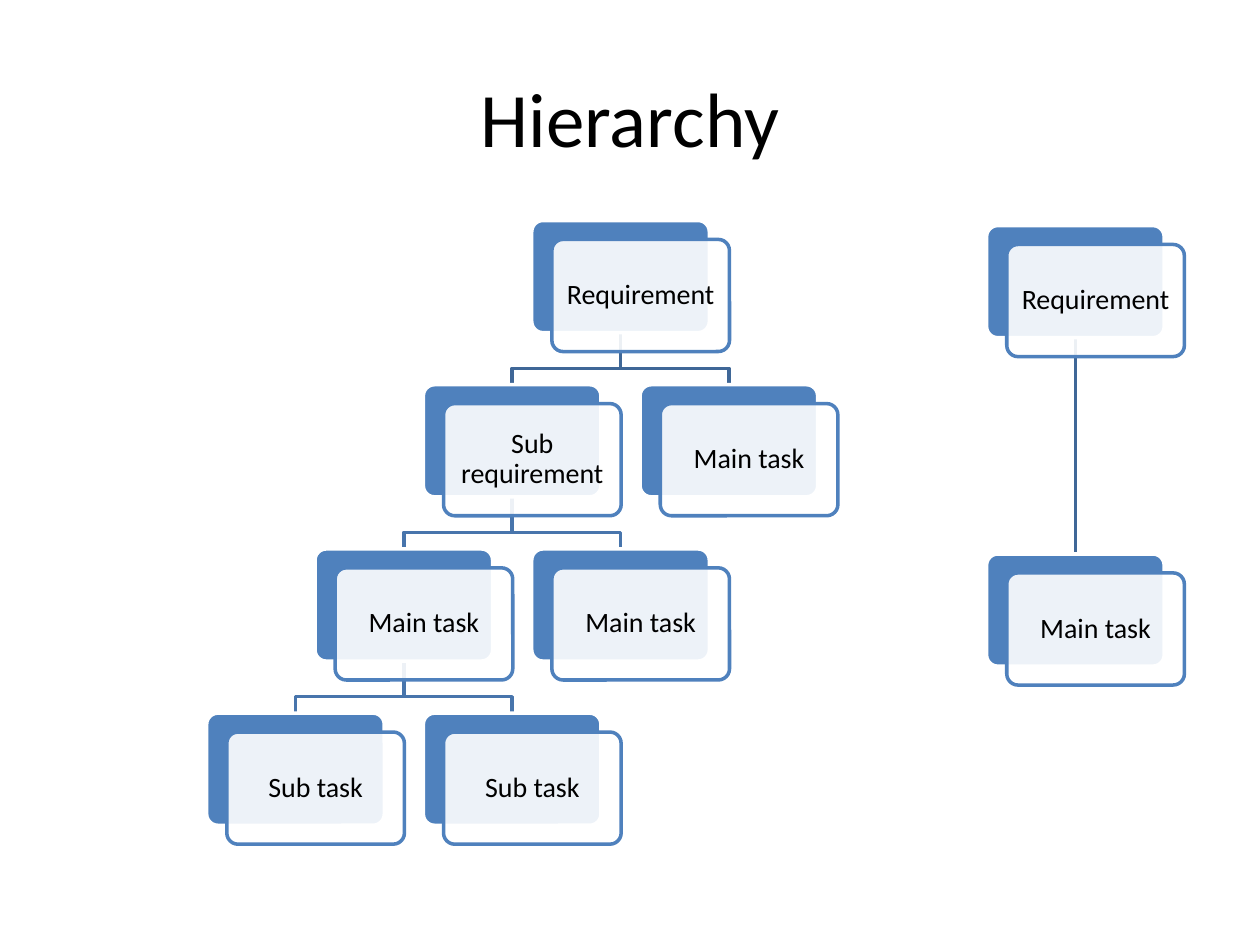
from dataclasses import dataclass

from lxml.etree import SubElement
from pptx import Presentation
from pptx.dml.color import RGBColor
from pptx.enum.shapes import MSO_CONNECTOR as Connector, MSO_SHAPE as Shape
from pptx.enum.text import MSO_ANCHOR as Anchor, PP_ALIGN as Align
from pptx.oxml.ns import qn
from pptx.util import Inches, Pt


@dataclass(frozen=True)
class Theme:
    font: str = "Calibri"
    ink: str = "000000"
    white: str = "FFFFFF"
    accent: str = "4F81BD"
    root_link: str = "3F6797"
    branch_link: str = "4875AC"
    title_size: int = 44
    card_size: int = 16
    stroke: int = 2


@dataclass(frozen=True)
class Node:
    label: str
    column: int
    row: int
    children: tuple = ()


THEME = Theme()
CARD_WIDTH, CARD_HEIGHT = Inches(1.41), Inches(0.89)
COLUMN_STEP = Inches(0.86)
ROW_STEP = Inches(3.91) // 3
PANEL_SHIFT_X, PANEL_SHIFT_Y = Inches(0.16), Inches(0.15)
BEND_RISE = Inches(0.13)
CARD_INSET = Inches(0.07)

TASK_TREE = Node("Requirement", 3, 0, (
    Node("Sub requirement", 2, 1, (
        Node("Main task", 1, 2, (
            Node("Sub task", 0, 3),
            Node("Sub task", 2, 3))),
        Node("Main task", 3, 2))),
    Node("Main task", 4, 1)))
SHORT_TREE = Node("Requirement", 0, 0, (Node("Main task", 0, 2),))


def write_text(frame, text, size, align=Align.CENTER, spacing=None):
    frame.word_wrap = True
    frame.vertical_anchor = Anchor.MIDDLE
    paragraph = frame.paragraphs[0]
    paragraph.alignment = align
    paragraph.line_spacing = spacing
    run = paragraph.add_run()
    run.text = text
    run.font.name = THEME.font
    run.font.size = Pt(size)
    run.font.color.rgb = RGBColor.from_string(THEME.ink)


def set_stroke(line, color):
    line.color.rgb = RGBColor.from_string(color)
    line.width = Pt(THEME.stroke)


def add_plate(slide, left, top, fill, stroke, opacity=100):
    plate = slide.shapes.add_shape(
        Shape.ROUNDED_RECTANGLE, left, top, CARD_WIDTH, CARD_HEIGHT)
    plate.adjustments[0] = 0.1
    plate.shadow.inherit = False
    plate.fill.solid()
    plate.fill.fore_color.rgb = RGBColor.from_string(fill)
    if opacity < 100:
        color = plate.element.spPr.find(".//" + qn("a:srgbClr"))
        SubElement(color, qn("a:alpha"), val=str(opacity * 1000))
    set_stroke(plate.line, stroke)
    return plate


def add_card(slide, left, top, label):
    add_plate(slide, left, top, THEME.accent, THEME.white)
    panel = add_plate(slide, left + PANEL_SHIFT_X, top + PANEL_SHIFT_Y,
                      THEME.white, THEME.accent, opacity=90)
    frame = panel.text_frame
    frame.margin_left = frame.margin_right = CARD_INSET
    frame.margin_top = frame.margin_bottom = CARD_INSET
    write_text(frame, label, THEME.card_size, spacing=0.9)


def add_link(slide, start, end, color):
    (start_x, start_y), (end_x, end_y) = start, end
    if start_x == end_x:
        link = slide.shapes.add_connector(
            Connector.STRAIGHT, start_x, start_y, end_x, end_y)
        SubElement(link.element.spPr, qn("a:effectLst"))
    else:
        bend_y = end_y - BEND_RISE
        builder = slide.shapes.build_freeform(start_x, start_y)
        builder.add_line_segments(
            [(start_x, bend_y), (end_x, bend_y), end], close=False)
        link = builder.convert_to_shape()
        link.fill.background()
        link.shadow.inherit = False
    set_stroke(link.line, color)


def walk(node):
    yield node
    for child in node.children:
        yield from walk(child)


def add_tree(slide, left, top, root):
    def corner(node):
        return left + node.column * COLUMN_STEP, top + node.row * ROW_STEP

    for parent in walk(root):
        parent_left, parent_top = corner(parent)
        start = parent_left + CARD_WIDTH // 2, parent_top + CARD_HEIGHT
        color = THEME.root_link if parent is root else THEME.branch_link
        for child in parent.children:
            child_left, child_top = corner(child)
            end = child_left + CARD_WIDTH // 2, child_top
            add_link(slide, start, end, color)
    for node in walk(root):
        add_card(slide, *corner(node), node.label)


def add_title(slide, left, top, width, height, text):
    title = slide.shapes.title
    title.left, title.top, title.width, title.height = left, top, width, height
    write_text(title.text_frame, text, THEME.title_size)


def build_hierarchy_slide(deck):
    slide = deck.slides.add_slide(deck.slide_layouts.get_by_name("Title Only"))
    add_title(slide, Inches(0.5), Inches(0.3), Inches(9), Inches(1.25),
              "Hierarchy")
    add_tree(slide, Inches(1.64), Inches(1.75), TASK_TREE)
    add_tree(slide, Inches(7.83), Inches(1.79), SHORT_TREE)


deck = Presentation()
deck.slide_width, deck.slide_height = Inches(10), Inches(7.5)
build_hierarchy_slide(deck)
deck.save("out.pptx")
